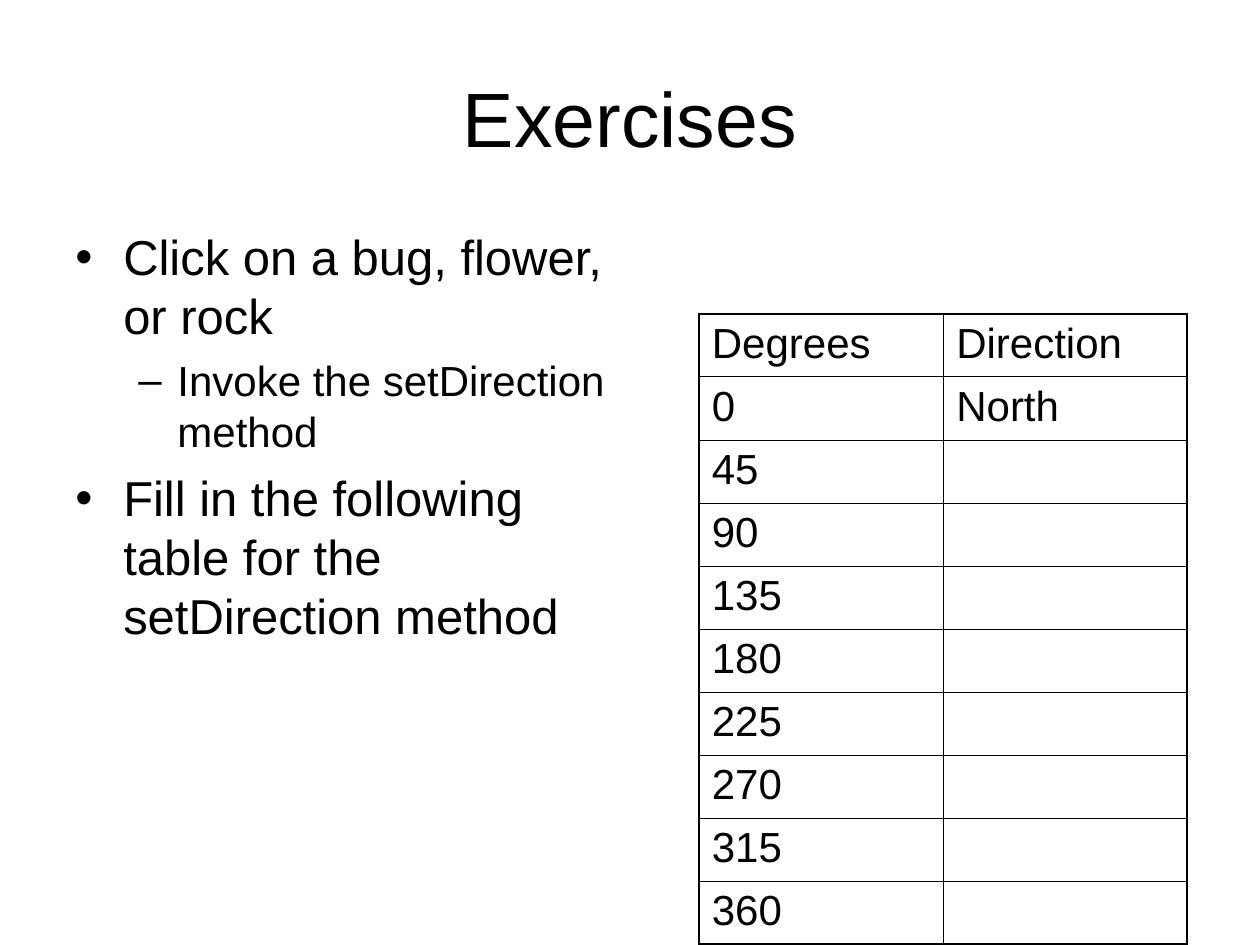
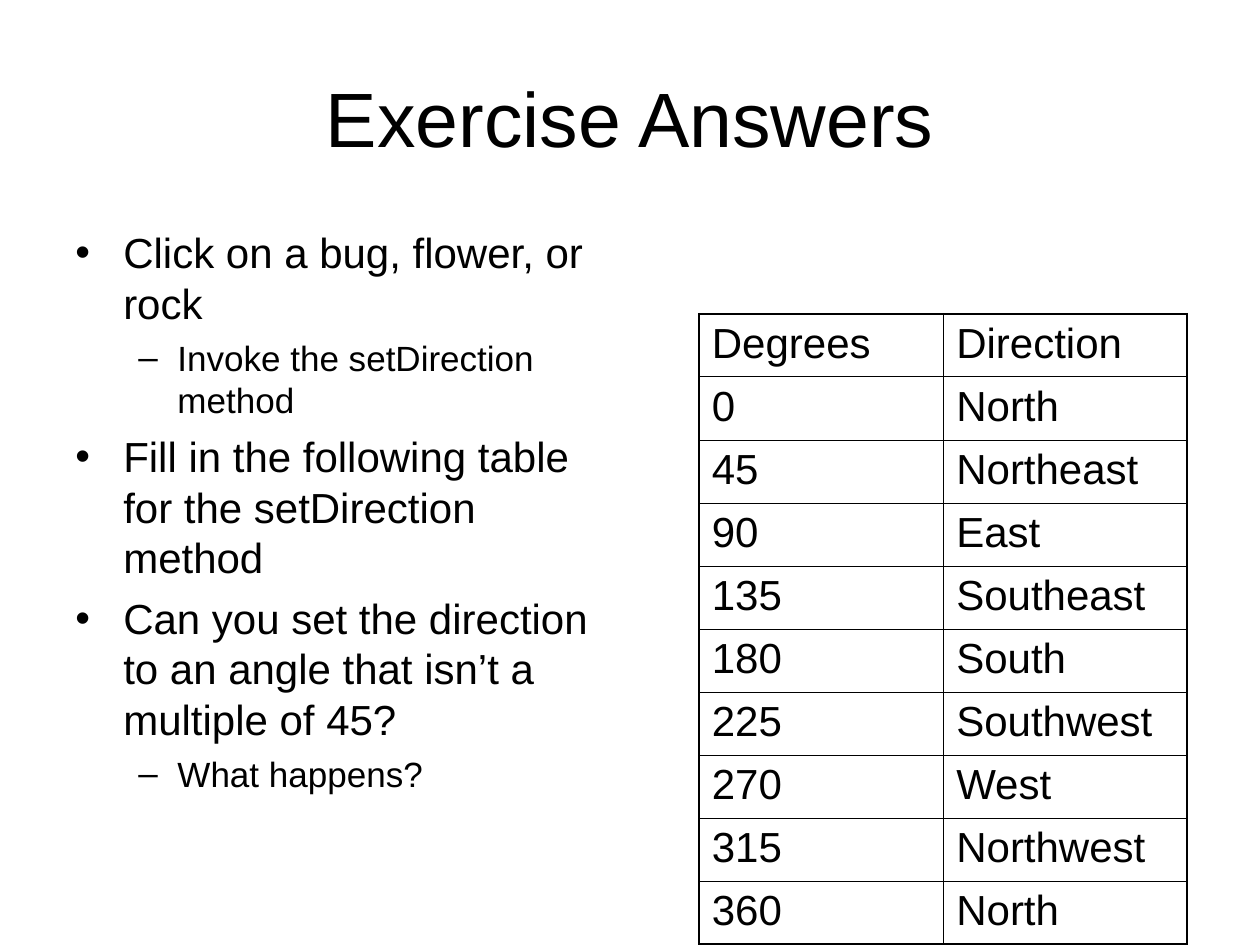
from lxml.etree import SubElement
from pptx import Presentation
from pptx.dml.color import RGBColor
from pptx.enum.text import MSO_ANCHOR, PP_ALIGN
from pptx.oxml.ns import qn
from pptx.util import Inches, Pt

BLACK = RGBColor(0x00, 0x00, 0x00)
FONT = "Arial"
OUTER_LINE, INNER_LINE = Pt(1.08), Pt(0.45)
CELL_SIZE = 24

# Bullet sign, left margin and hanging indent for each outline level
LEVELS = [("•", 0.38, -0.38), ("–", 0.81, -0.31)]

DEGREES = ["0", "45", "90", "135", "180", "225", "270", "315", "360"]
DIRECTIONS = ["North", "Northeast", "East", "Southeast", "South",
              "Southwest", "West", "Northwest", "North"]

TASKS = [
    (0, "Click on a bug, flower, or rock"),
    (1, "Invoke the setDirection method"),
    (0, "Fill in the following table for the setDirection method"),
]
QUESTIONS = [
    (0, "Can you set the direction to an angle that isn’t a multiple of 45?"),
    (1, "What happens?"),
]


class ExerciseDeck:
    def __init__(self):
        self.deck = Presentation()
        self.deck.slide_width, self.deck.slide_height = Inches(10), Inches(7.5)
        self.page = None

    def add_page(self, title):
        self.page = self.deck.slides.add_slide(self.deck.slide_layouts[6])
        frame = self.add_frame(0.5, 0.3, 9, 1.25)
        frame.vertical_anchor = MSO_ANCHOR.MIDDLE
        frame.paragraphs[0].alignment = PP_ALIGN.CENTER
        self.add_span(frame.paragraphs[0], title, 44)

    def add_frame(self, left, top, width, height):
        box = self.page.shapes.add_textbox(
            Inches(left), Inches(top), Inches(width), Inches(height))
        box.text_frame.word_wrap = True
        return box.text_frame

    def add_span(self, para, text, size):
        span = para.add_run()
        span.text = text
        span.font.color.rgb = BLACK
        for name, value in {"name": FONT, "size": Pt(size)}.items():
            setattr(span.font, name, value)

    def add_outline(self, items, sizes, spaces):
        """Set out (level, text) items; sizes and spaces are in points per level."""
        frame = self.add_frame(0.5, 1.75, 4.42, 4.95)
        for index, (level, text) in enumerate(items):
            para = frame.paragraphs[0] if index == 0 else frame.add_paragraph()
            para.level = level
            if index:
                para.space_before = Pt(spaces[level])
            self.add_bullet(para, *LEVELS[level])
            self.add_span(para, text, sizes[level])

    def add_bullet(self, para, sign, margin, indent):
        properties = para._p.get_or_add_pPr()
        properties.set("marL", str(Inches(margin)))
        properties.set("indent", str(Inches(indent)))
        SubElement(properties, qn("a:buFont"), typeface=FONT)
        SubElement(properties, qn("a:buChar"), char=sign)

    def add_direction_table(self, directions):
        """Fill the direction column from the top; the remaining cells stay empty."""
        answers = directions + [""] * (len(DEGREES) - len(directions))
        rows = [("Degrees", "Direction"), *zip(DEGREES, answers)]
        table = self.page.shapes.add_table(
            len(rows), 2, Inches(5.55), Inches(2.49), Inches(3.87), Inches(4.98)).table
        table.first_row = table.horz_banding = False
        for column, width in zip(table.columns, (1.94, 1.93)):
            column.width = Inches(width)
        for row, texts in enumerate(rows):
            for column, text in enumerate(texts):
                cell = table.cell(row, column)
                if text:
                    self.add_span(cell.text_frame.paragraphs[0], text, CELL_SIZE)
                else:
                    cell.text_frame.paragraphs[0].font.size = Pt(CELL_SIZE)
                self.add_borders(cell, {
                    "a:lnL": column == 0,
                    "a:lnR": column == len(texts) - 1,
                    "a:lnT": row == 0,
                    "a:lnB": row == len(rows) - 1,
                })
                cell.fill.background()

    def add_borders(self, cell, edges):
        """Draw each edge, with the heavier line where it is an outer one."""
        properties = cell._tc.get_or_add_tcPr()
        for tag, is_outer in edges.items():
            width = OUTER_LINE if is_outer else INNER_LINE
            line = SubElement(properties, qn(tag), w=str(width))
            fill = SubElement(line, qn("a:solidFill"))
            SubElement(fill, qn("a:srgbClr"), val=str(BLACK))


def main():
    exercises = ExerciseDeck()

    exercises.add_page("Exercises")
    exercises.add_outline(TASKS, sizes=(28, 24), spaces=(7, 6))
    exercises.add_direction_table(DIRECTIONS[:1])

    exercises.add_page("Exercise Answers")
    exercises.add_outline(TASKS + QUESTIONS, sizes=(24, 20), spaces=(6, 5))
    exercises.add_direction_table(DIRECTIONS)

    exercises.deck.save("out.pptx")


if __name__ == "__main__":
    main()
